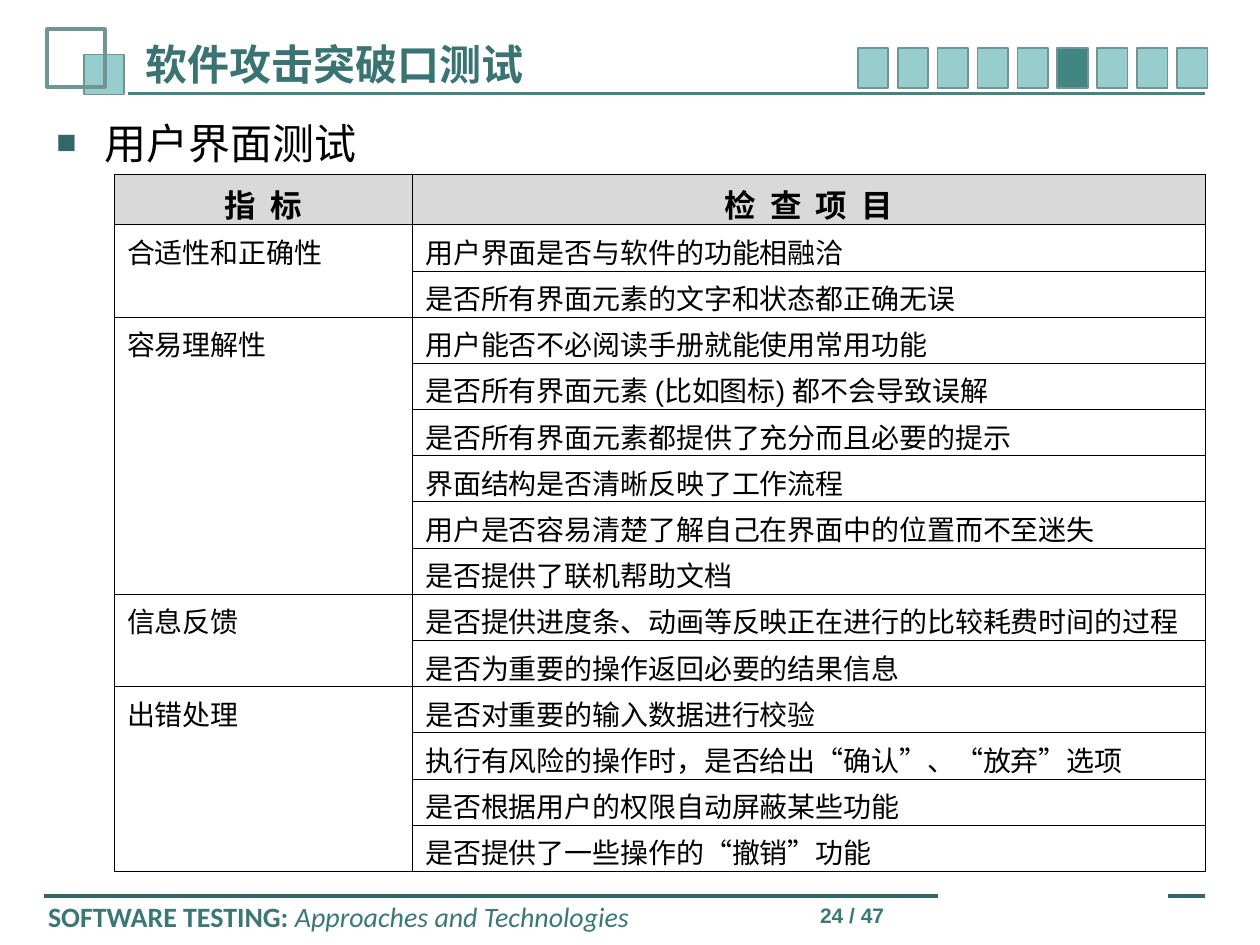
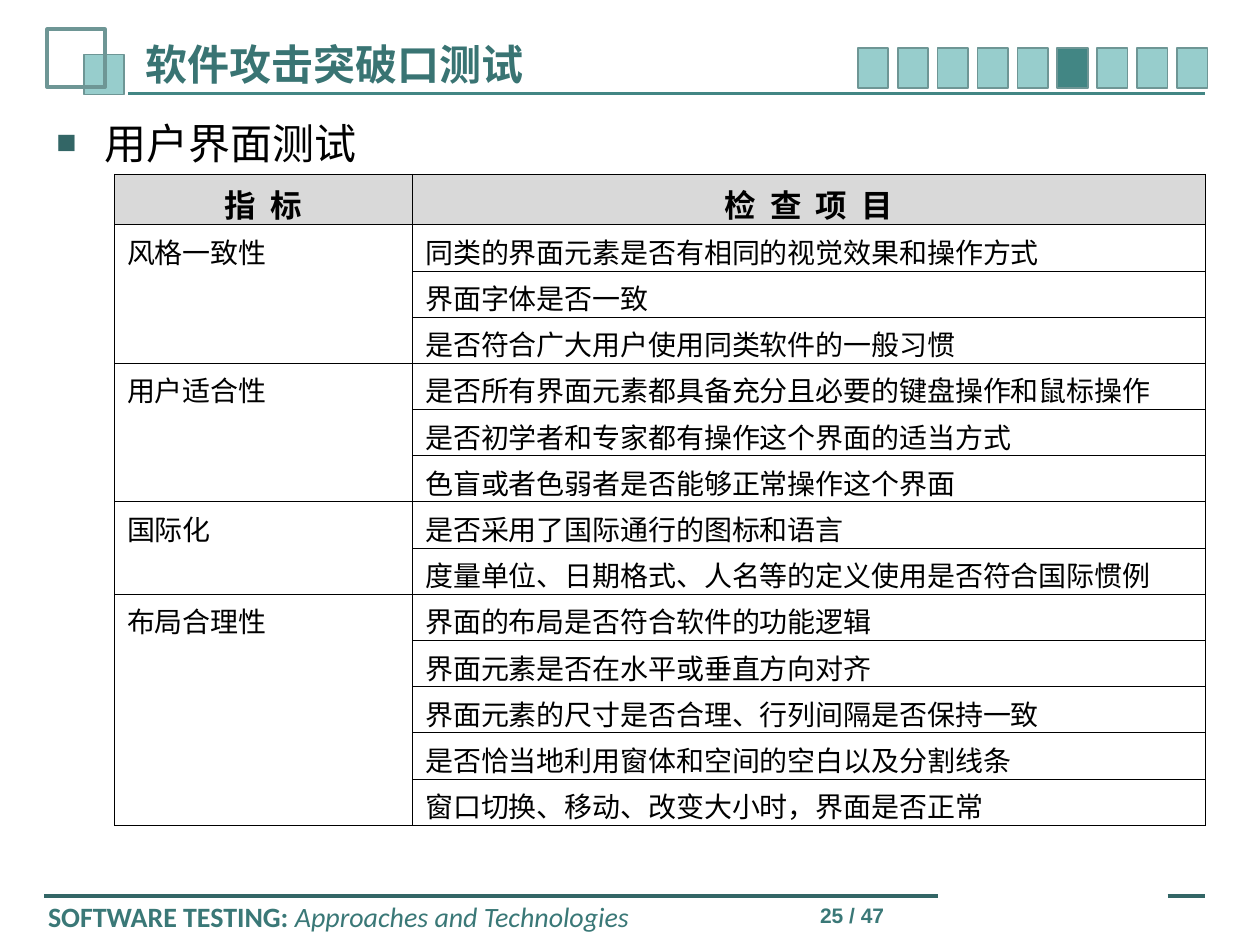
from lxml import etree
from pptx import Presentation
from pptx.dml.color import RGBColor
from pptx.enum.shapes import MSO_CONNECTOR, MSO_SHAPE
from pptx.enum.text import MSO_ANCHOR, MSO_AUTO_SIZE, PP_ALIGN
from pptx.oxml import parse_xml
from pptx.oxml.ns import nsdecls, qn
from pptx.util import Pt

PX = 7620  # EMU per px, 120 px to the inch
TEAL, DARK, PALE, EDGE = "428684", "336666", "97CDCC", "6E9695"
TITLE, FOOTER, BLACK, GREY = "397473", "3A7877", "000000", "D9D9D9"

TITLE_TEXT = "软件攻击突破口测试"
TOPIC = "用户界面测试"
HEADERS = ["指 标", "检 查 项 目"]
PAGE_COUNT = 47
PAGES = {
    24: {
        "合适性和正确性": [
            "用户界面是否与软件的功能相融洽",
            "是否所有界面元素的文字和状态都正确无误",
        ],
        "容易理解性": [
            "用户能否不必阅读手册就能使用常用功能",
            "是否所有界面元素 (比如图标) 都不会导致误解",
            "是否所有界面元素都提供了充分而且必要的提示",
            "界面结构是否清晰反映了工作流程",
            "用户是否容易清楚了解自己在界面中的位置而不至迷失",
            "是否提供了联机帮助文档",
        ],
        "信息反馈": [
            "是否提供进度条、动画等反映正在进行的比较耗费时间的过程",
            "是否为重要的操作返回必要的结果信息",
        ],
        "出错处理": [
            "是否对重要的输入数据进行校验",
            "执行有风险的操作时，是否给出“确认”、“放弃”选项",
            "是否根据用户的权限自动屏蔽某些功能",
            "是否提供了一些操作的“撤销”功能",
        ],
    },
    25: {
        "风格一致性": [
            "同类的界面元素是否有相同的视觉效果和操作方式",
            "界面字体是否一致",
            "是否符合广大用户使用同类软件的一般习惯",
        ],
        "用户适合性": [
            "是否所有界面元素都具备充分且必要的键盘操作和鼠标操作",
            "是否初学者和专家都有操作这个界面的适当方式",
            "色盲或者色弱者是否能够正常操作这个界面",
        ],
        "国际化": [
            "是否采用了国际通行的图标和语言",
            "度量单位、日期格式、人名等的定义使用是否符合国际惯例",
        ],
        "布局合理性": [
            "界面的布局是否符合软件的功能逻辑",
            "界面元素是否在水平或垂直方向对齐",
            "界面元素的尺寸是否合理、行列间隔是否保持一致",
            "是否恰当地利用窗体和空间的空白以及分割线条",
            "窗口切换、移动、改变大小时，界面是否正常",
        ],
    },
}

# x1, y, x2, colour, width in points
RULES = [
    (122, 89, 1148, TEAL, 1.5),
    (42, 853, 893, DARK, 2.25),
    (1112, 853, 1148, DARK, 2.25),
]
# left, top, width, height, fill, line width in points
SQUARES = [(80, 52, 38, 38, PALE, 1), (45, 28, 55, 55, None, 2.25)]
SQUARES += [(817 + 38 * i, 46, 29, 38, TEAL if i == 5 else PALE, 1) for i in range(9)]

TABLE_LEFT, TABLE_TOP = 109, 166
COLUMNS = [284, 755]
HEADER_HEIGHT, ROW_HEIGHT = 48, 44


def paint(fill, color):
    """Make a fill solid in a hex colour, or empty for None."""
    if color is None:
        fill.background()
    else:
        fill.solid()
        fill.fore_color.rgb = RGBColor.from_string(color)


def write(tf, text, color, align=PP_ALIGN.LEFT, **font):
    """Add a formatted run to the first paragraph and return it."""
    p = tf.paragraphs[0]
    p.alignment = align
    r = p.add_run()
    r.text = text
    paint(r.font.fill, color)
    for name, value in font.items():
        setattr(r.font, name, value)
    return r


prs = Presentation()
prs.slide_width, prs.slide_height = 1200 * PX, 900 * PX

for page, groups in PAGES.items():
    s = prs.slides.add_slide(prs.slide_layouts[5])

    # Rules and squares
    for x1, y, x2, color, width in RULES:
        line = s.shapes.add_connector(
            MSO_CONNECTOR.STRAIGHT, x1 * PX, y * PX, x2 * PX, y * PX)
        paint(line.line.fill, color)
        line.line.width = Pt(width)
        etree.SubElement(line._element.spPr, qn("a:effectLst"))
    for *place, fill, width in SQUARES:
        sp = s.shapes.add_shape(MSO_SHAPE.RECTANGLE, *[v * PX for v in place])
        sp.shadow.inherit = False
        paint(sp.fill, fill)
        paint(sp.line.fill, EDGE)
        sp.line.width = Pt(width)

    # Title
    title = s.shapes.title
    title.left, title.top, title.width, title.height = [v * PX for v in (127, 31, 661, 59)]
    tf = title.text_frame
    tf.auto_size = MSO_AUTO_SIZE.NONE
    tf.vertical_anchor = MSO_ANCHOR.MIDDLE
    write(tf, TITLE_TEXT, TITLE, size=Pt(24), name="Calibri", bold=True)

    # Footer, page number and topic
    footer, number, topic = [
        s.shapes.add_textbox(*[v * PX for v in place]).text_frame
        for place in ((34, 851, 614, 44), (732, 854, 122, 29), (42, 95, 1106, 73))]
    for tf in (footer, number, topic):
        tf.word_wrap = True
    write(footer, "SOFTWARE TESTING:", FOOTER, size=Pt(16), name="Calibri", bold=True)
    write(footer, " Approaches and Technologies", FOOTER,
          size=Pt(16), name="Calibri", italic=True)
    write(number, f"{page} / {PAGE_COUNT}", FOOTER, PP_ALIGN.RIGHT,
          size=Pt(12), name="Arial", bold=True)
    topic.vertical_anchor = MSO_ANCHOR.MIDDLE
    topic.margin_top = 14 * PX
    pPr = topic.paragraphs[0]._p.get_or_add_pPr()
    pPr.set("marL", str(46 * PX))
    pPr.set("indent", str(-46 * PX))
    for xml in (f'<a:buClr {nsdecls("a")}><a:srgbClr val="{DARK}"/></a:buClr>',
                f'<a:buSzPct {nsdecls("a")} val="80000"/>',
                f'<a:buFont {nsdecls("a")} typeface="Arial"/>',
                f'<a:buChar {nsdecls("a")} char="■"/>'):
        pPr.append(parse_xml(xml))
    write(topic, TOPIC, BLACK, size=Pt(24), name="Calibri")

    # Checklist table
    row_count = sum(len(checks) for checks in groups.values())
    table = s.shapes.add_table(
        row_count + 1, len(COLUMNS), TABLE_LEFT * PX, TABLE_TOP * PX,
        sum(COLUMNS) * PX, (HEADER_HEIGHT + row_count * ROW_HEIGHT) * PX).table
    table.first_row = table.horz_banding = False
    for column, width in zip(table.columns, COLUMNS):
        column.width = width * PX
    for i, row in enumerate(table.rows):
        row.height = (ROW_HEIGHT if i else HEADER_HEIGHT) * PX
        for cell in row.cells:
            cell.margin_left = cell.margin_right = 12 * PX
            cell.margin_top, cell.margin_bottom = 6 * PX, 0
            paint(cell.fill, None if i else GREY)
            for k, side in enumerate("LRTB"):
                cell._tc.get_or_add_tcPr().insert(k, parse_xml(
                    f'<a:ln{side} {nsdecls("a")} w="{Pt(0.45)}"><a:solidFill>'
                    f'<a:srgbClr val="{BLACK}"/></a:solidFill></a:ln{side}>'))

    for c, header in enumerate(HEADERS):
        r = write(table.cell(0, c).text_frame, header, BLACK, PP_ALIGN.CENTER,
                  size=Pt(18), name="Arial", bold=True)
        r.font._element.set("spc", "200")
    first = 1
    for indicator, checks in groups.items():
        last = first + len(checks) - 1
        table.cell(first, 0).merge(table.cell(last, 0))
        entries = [(first, 0, indicator)]
        entries += [(first + k, 1, check) for k, check in enumerate(checks)]
        for i, c, text in entries:
            write(table.cell(i, c).text_frame, text, BLACK,
                  size=Pt(16), name="Arial", bold=False)
        first = last + 1

prs.save("out.pptx")
